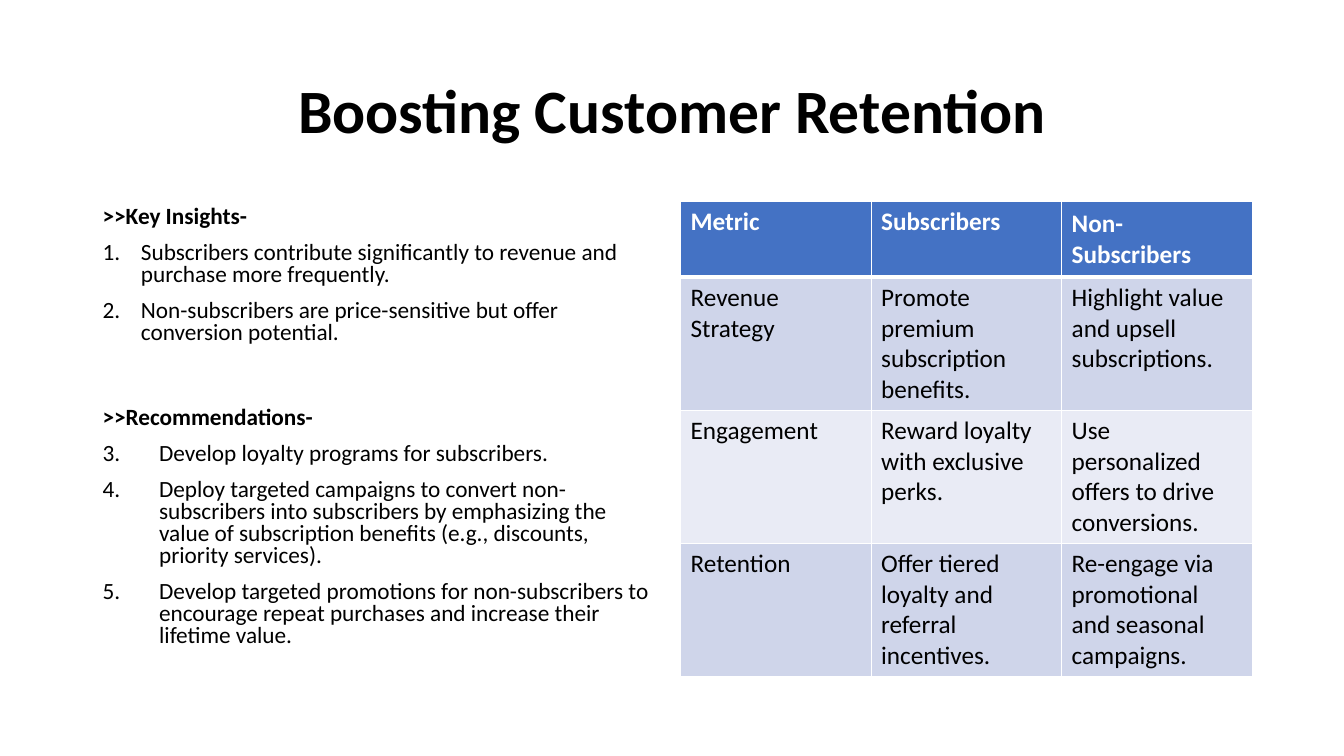
import pptx
import pptx.util
import pptx.dml.color
import pptx.enum.text
import pptx.oxml.ns
import lxml.etree

PX = 9144  # one px is a hundredth of an inch

theme = {
    "font": "Calibri",
    "title": 44, "body": 16.6, "cell": 18,
    "ink": "000000", "white": "FFFFFF",
    "head": "4472C4", "bands": ("CFD5EA", "E9EBF5"),
}


def style(para, size, color, bold):
    for run in para.runs:
        run.font.name = theme["font"]
        run.font.size = pptx.util.Pt(size)
        run.font.bold = bold
        run.font.color.rgb = pptx.dml.color.RGBColor.from_string(color)


def add(parent, tag, **attrs):
    node = lxml.etree.SubElement(parent, pptx.oxml.ns.qn(tag))
    for key, val in attrs.items():
        node.set(key, str(val))
    return node


deck = pptx.Presentation()
deck.slide_width, deck.slide_height = 1333 * PX, 750 * PX
slide = deck.slides.add_slide(deck.slide_layouts[6])
anchor = pptx.enum.text.MSO_ANCHOR

# Title
box = slide.shapes.add_textbox(92 * PX, 40 * PX, 1150 * PX, 145 * PX)
frame = box.text_frame
frame.word_wrap = True
frame.vertical_anchor = anchor.MIDDLE
frame.text = "Boosting Customer Retention"
title = frame.paragraphs[0]
title.alignment = pptx.enum.text.PP_ALIGN.CENTER
title.line_spacing = 0.9
style(title, theme["title"], theme["ink"], True)

# Insights and recommendations: heading, space before, indent, first number, items
parts = [
    (">>Key Insights-", 0, 38, 1, [
        "Subscribers contribute significantly to revenue and purchase more frequently.",
        "Non-subscribers are price-sensitive but offer conversion potential.",
    ]),
    (">>Recommendations-", 45, 56, 3, [
        "Develop loyalty programs for subscribers.",
        "Deploy targeted campaigns to convert non-subscribers into subscribers by "
        "emphasizing the value of subscription benefits (e.g., discounts, priority services).",
        "Develop targeted promotions for non-subscribers to encourage repeat purchases "
        "and increase their lifetime value.",
    ]),
]
box = slide.shapes.add_textbox(92 * PX, 200 * PX, 567 * PX, 476 * PX)
frame = box.text_frame
frame.word_wrap = True
for head, gap, indent, first, items in parts:
    for n, text in enumerate([head] + items):
        para = frame.add_paragraph() if frame.text else frame.paragraphs[0]
        para.text = text
        para.line_spacing = 0.79
        para.space_before = pptx.util.Pt(10 if n else gap)
        style(para, theme["body"], theme["ink"], n == 0)
        if n:
            props = para._p.get_or_add_pPr()
            props.set("marL", str(indent * PX))
            props.set("indent", str(-indent * PX))
            add(props, "a:buFont", typeface="+mj-lt")
            add(props, "a:buAutoNum", type="arabicPeriod", startAt=first)

# Strategy table
rows = [
    ["Metric", "Subscribers", "Non-Subscribers"],
    ["Revenue Strategy", "Promote premium subscription benefits.",
     "Highlight value and upsell subscriptions."],
    ["Engagement", "Reward loyalty with exclusive perks.",
     "Use personalized offers to drive conversions."],
    ["Retention", "Offer tiered loyalty and referral incentives.",
     "Re-engage via promotional and seasonal campaigns."],
]
table = slide.shapes.add_table(4, 3, 675 * PX, 200 * PX, 567 * PX, 471 * PX).table
for col in table.columns:
    col.width = 189 * PX
for r, texts in enumerate(rows):
    table.rows[r].height = (132 if r else 75) * PX
    for c, text in enumerate(texts):
        cell = table.cell(r, c)
        cell.text = text
        style(cell.text_frame.paragraphs[0], theme["cell"],
              theme["ink" if r else "white"], r == 0)
        # White borders, thicker under the header
        props = cell._tc.get_or_add_tcPr()
        for side in "LRTB":
            thick = (r, side) in ((0, "B"), (1, "T"))
            line = add(props, "a:ln" + side, w=pptx.util.Pt(3 if thick else 1))
            add(add(line, "a:solidFill"), "a:srgbClr", val=theme["white"])
        cell.fill.solid()
        tint = theme["bands"][(r - 1) % 2] if r else theme["head"]
        cell.fill.fore_color.rgb = pptx.dml.color.RGBColor.from_string(tint)
table.cell(0, 2).vertical_anchor = anchor.MIDDLE

deck.save("out.pptx")
